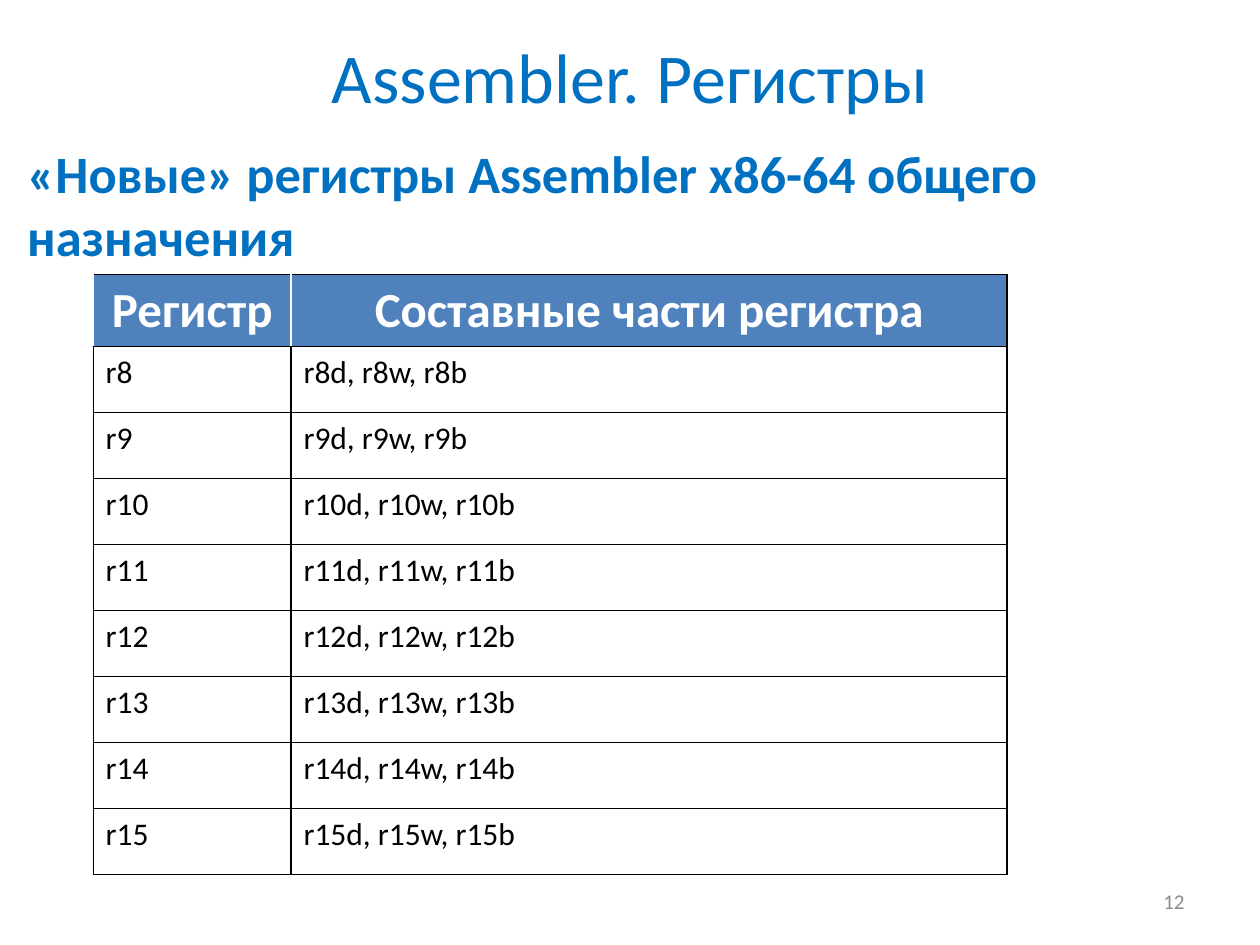
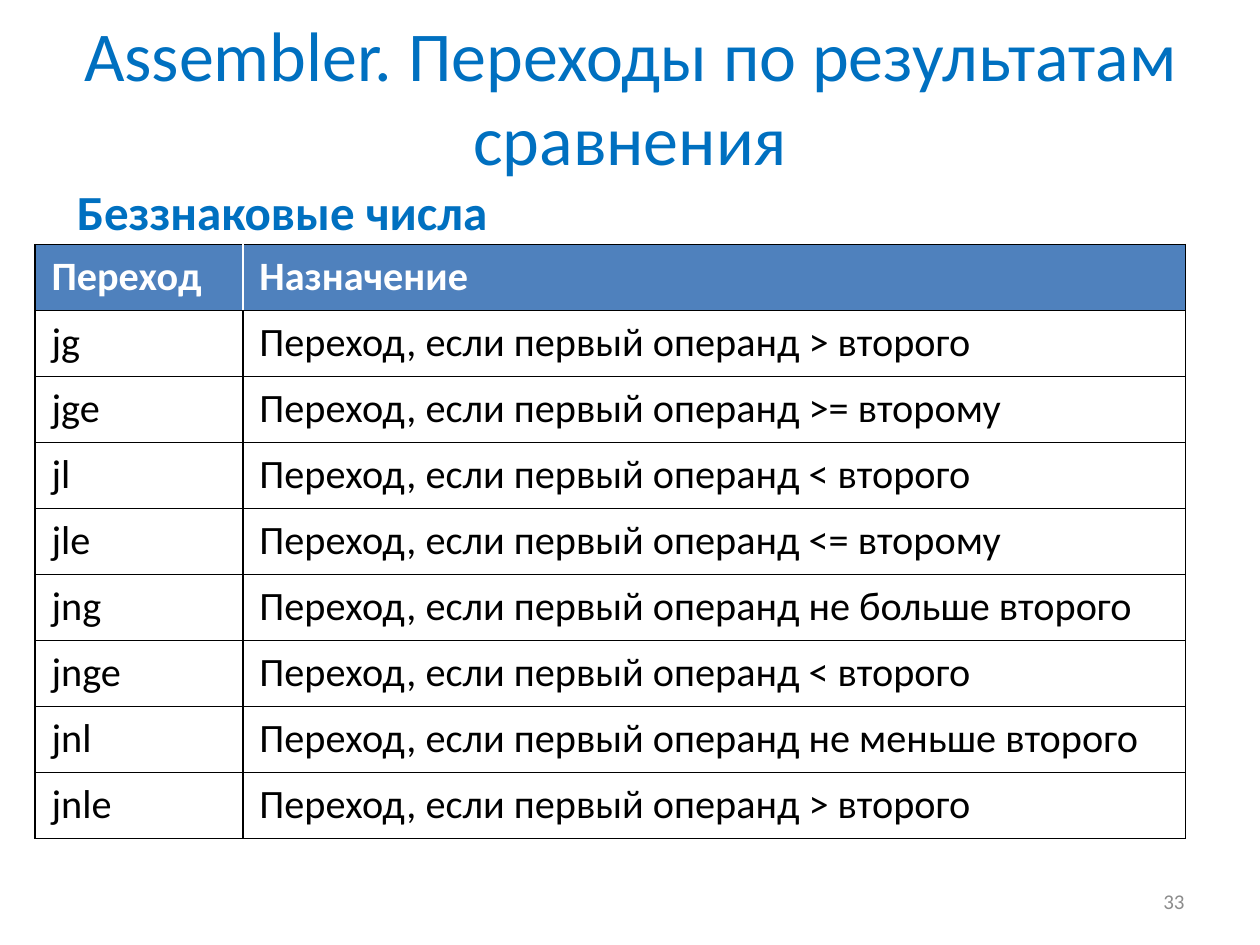
from lxml import etree
from pptx import Presentation
from pptx.dml.color import RGBColor
from pptx.enum.text import MSO_ANCHOR, MSO_AUTO_SIZE, PP_ALIGN
from pptx.oxml.ns import qn
from pptx.util import Cm, Pt

LEFT, MID, RIGHT = PP_ALIGN.LEFT, PP_ALIGN.CENTER, PP_ALIGN.RIGHT
TOP, CENTER = MSO_ANCHOR.TOP, MSO_ANCHOR.MIDDLE
FIXED = MSO_AUTO_SIZE.NONE

BLUE = RGBColor(0x00, 0x70, 0xC0)
HEAD = RGBColor(0x4F, 0x81, 0xBD)
GREY = RGBColor(0x8C, 0x8C, 0x8C)
BLACK = RGBColor(0, 0, 0)
WHITE = RGBColor(255, 255, 255)
FONT = "Calibri"
ROW = 1.33

JUMP = "Переход, если первый операнд "
PAGES = [
    dict(
        title="Assembler. Регистры",
        title_at=(1.27, 0.33, 22.86, 2.39),
        topic="«Новые» регистры Assembler x86-64 общего назначения",
        topic_at=(0.3, 2.72, 24.41, 14.6),
        topic_size=30,
        number="12",
        table_at=(1.88, 5.53),
        cols=(3.99, 14.43),
        pad=(0.25, 0.13),
        head_row=1.46, head_size=28, head_align=MID, head_edge=WHITE,
        size=18,
        rows=[("Регистр", "Составные части регистра")]
        + [(f"r{n}", f"r{n}d, r{n}w, r{n}b") for n in range(8, 16)],
    ),
    dict(
        title="Assembler. Переходы по результатам сравнения",
        title_at=(1.3, 0.33, 22.81, 3.2),
        topic="Беззнаковые числа",
        topic_at=(1.3, 3.53, 22.4, 14.6),
        topic_size=28,
        number="33",
        table_at=(0.71, 4.93),
        cols=(4.19, 19),
        pad=(0.33, 0.15),
        head_row=ROW, head_size=23, head_align=LEFT, head_edge=BLACK,
        size=23,
        rows=[("Переход", "Назначение")]
        + [(code, JUMP + test) for code, test in (
            ("jg", "> второго"),
            ("jge", ">= второму"),
            ("jl", "< второго"),
            ("jle", "<= второму"),
            ("jng", "не больше второго"),
            ("jnge", "< второго"),
            ("jnl", "не меньше второго"),
            ("jnle", "> второго"),
        )],
    ),
]


def write(frame, text, size, color, bold=False, align=LEFT, anchor=TOP):
    frame.text = text
    frame.word_wrap = True
    frame.vertical_anchor = anchor
    par = frame.paragraphs[0]
    par.alignment = align
    font = par.runs[0].font
    font.name, font.size, font.bold = FONT, Pt(size), bold
    font.color.rgb = color


def edge(cell, colors):
    """Draw the left, right, top and bottom borders, before the fill."""
    props = cell._tc.get_or_add_tcPr()
    for side, color in zip("LRTB", colors):
        line = etree.SubElement(props, qn(f"a:ln{side}"), w=str(Pt(1)))
        fill = etree.SubElement(line, qn("a:solidFill"))
        etree.SubElement(fill, qn("a:srgbClr"), val=str(color))


deck = Presentation()
deck.slide_width, deck.slide_height = Cm(25.4), Cm(19.05)

for page in PAGES:
    slide = deck.slides.add_slide(deck.slide_layouts[5])

    number = slide.shapes.add_textbox(Cm(18.21), Cm(17.65), Cm(5.92), Cm(1.02))
    write(number.text_frame, page["number"], 12, GREY, align=RIGHT, anchor=CENTER)

    title = slide.shapes.title
    title.left, title.top, title.width, title.height = map(Cm, page["title_at"])
    write(title.text_frame, page["title"], 40, BLUE, align=MID, anchor=CENTER)
    title.text_frame.auto_size = FIXED

    topic = slide.shapes.add_textbox(*map(Cm, page["topic_at"]))
    write(topic.text_frame, page["topic"], page["topic_size"], BLUE, bold=True)

    rows, cols = page["rows"], page["cols"]
    high = page["head_row"] + ROW * (len(rows) - 1)
    table = slide.shapes.add_table(
        len(rows), len(cols), *map(Cm, page["table_at"]), Cm(sum(cols)), Cm(high)
    ).table
    table.first_row = table.horz_banding = False
    for col, wide in zip(table.columns, cols):
        col.width = Cm(wide)

    for r, texts in enumerate(rows):
        table.rows[r].height = Cm(ROW if r else page["head_row"])
        for c, text in enumerate(texts):
            cell = table.cell(r, c)
            cell.margin_left = cell.margin_right = Cm(page["pad"][0])
            cell.margin_top = cell.margin_bottom = Cm(page["pad"][1])
            if r:
                write(cell.text_frame, text, page["size"], BLACK)
                edge(cell, [BLACK] * 4)
                cell.fill.background()
            else:
                write(cell.text_frame, text, page["head_size"], WHITE,
                      bold=True, align=page["head_align"])
                left = WHITE if c else page["head_edge"]
                right = BLACK if c else WHITE
                edge(cell, (left, right, BLACK, BLACK))
                cell.fill.solid()
                cell.fill.fore_color.rgb = HEAD

deck.save("out.pptx")
